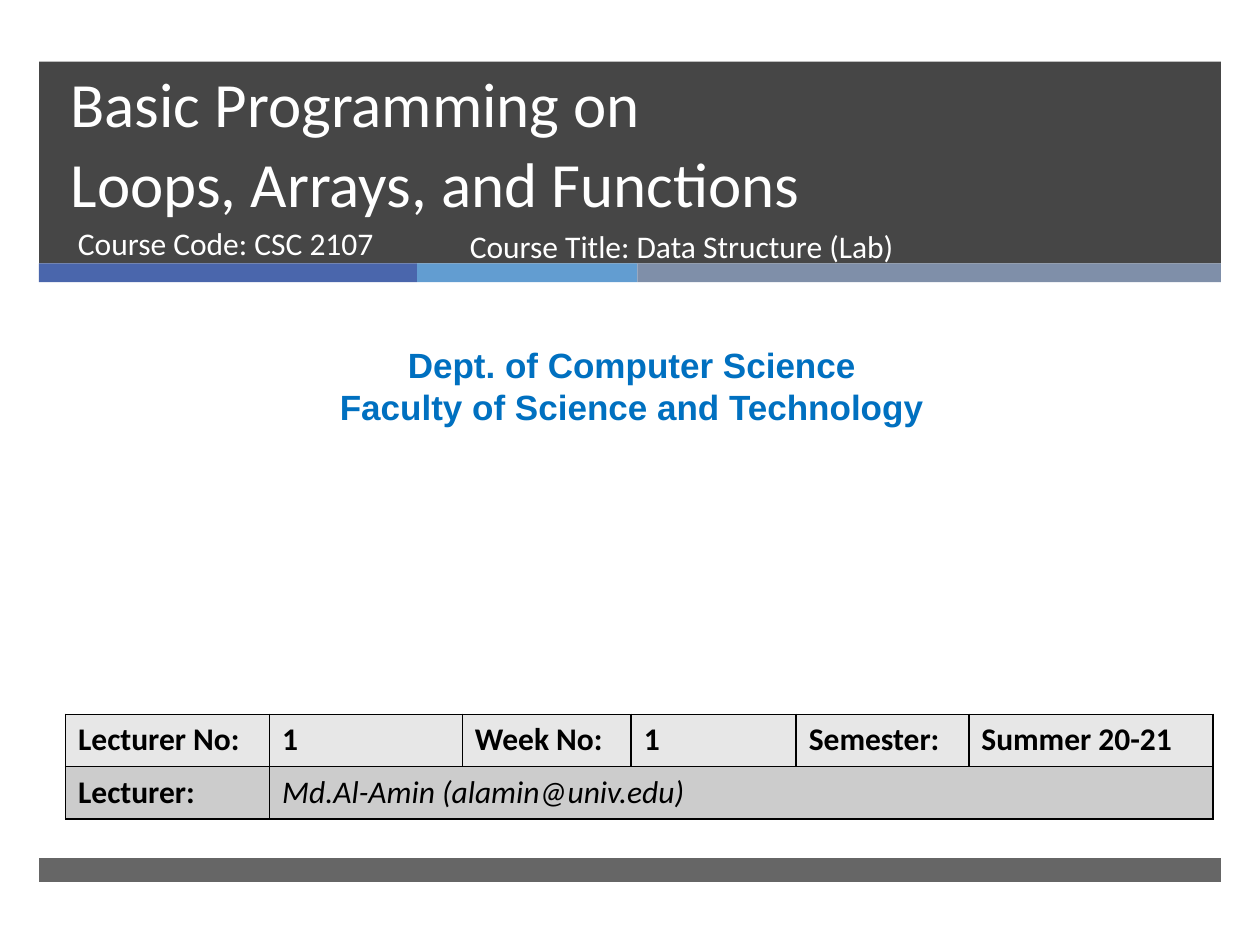
from dataclasses import dataclass

from lxml.etree import SubElement
from pptx import Presentation
from pptx.dml.color import RGBColor
from pptx.enum.shapes import MSO_SHAPE as Shape
from pptx.enum.text import MSO_ANCHOR as Anchor, PP_ALIGN as Align
from pptx.oxml import parse_xml
from pptx.oxml.ns import nsdecls, qn
from pptx.util import Inches, Pt


@dataclass(frozen=True)
class Theme:
    """Colours, fonts and type sizes of the slide."""
    dark: str = "262626"
    white: str = "FFFFFF"
    black: str = "000000"
    heading: str = "0070C0"
    row_fills: tuple = ("E7E7E7", "CCCCCC")
    body_font: str = "Calibri"
    heading_font: str = "Arial"
    title_size: int = 36
    heading_size: int = 20
    body_size: int = 18


@dataclass(frozen=True)
class Band:
    """A filled bar; lengths in inches, opacity in percent."""
    left: float
    top: float
    width: float
    height: float
    colour: str
    opacity: int = 100


@dataclass(frozen=True)
class Label:
    """A text box with one paragraph per line."""
    left: float
    top: float
    width: float
    height: float
    lines: tuple
    font: str
    size: int
    colour: str
    bold: bool = False
    align: Align = Align.LEFT


THEME = Theme()
EDGE, FULL = 0.31, 9.38
STRIPE_TOP, STRIPE_HEIGHT = 2.09, 0.15
STRIPES = ((3, "4A66AC"), (1.75, "629DD1"), (4.63, "7F8FA9"))
COURSE_STYLE = (THEME.body_font, THEME.body_size, THEME.white)
LABELS = (
    Label(0.52, 1.73, 3.05, 0.53, ("Course Code: CSC 2107",), *COURSE_STYLE),
    Label(0.08, 2.68, 9.87, 0.77,
          ("Dept. of Computer Science", "Faculty of Science and Technology"),
          THEME.heading_font, THEME.heading_size, THEME.heading, True, Align.CENTER),
    Label(3.63, 1.75, 4.55, 0.53, ("Course Title: Data Structure (Lab)",), *COURSE_STYLE),
)
COLUMNS = (1.62, 1.53, 1.34, 1.31, 1.37, 1.94)
ROW_HEIGHT = 0.415
ROWS = (
    ("Lecturer No:", "1", "Week No:", "1", "Semester:", "Summer 20-21"),
    ("Lecturer:", "Md.Al-Amin (alamin@univ.edu)", "", "", "", ""),
)


def style_font(font, name: str, size: int, colour: str, bold: bool = False) -> None:
    """Set the face, size, colour and weight of a font."""
    font.name, font.size, font.bold = name, Pt(size), bold
    font.color.rgb = RGBColor.from_string(colour)


def place(shape, left: float, top: float, width: float, height: float) -> None:
    """Move and size a shape, in inches."""
    shape.left, shape.top = Inches(left), Inches(top)
    shape.width, shape.height = Inches(width), Inches(height)


def add_band(page, band: Band) -> None:
    """Draw a bar without outline."""
    bar = page.shapes.add_shape(Shape.RECTANGLE, Inches(band.left), Inches(band.top),
                                Inches(band.width), Inches(band.height))
    bar.shadow.inherit = False
    bar.line.fill.background()
    bar.fill.solid()
    bar.fill.fore_color.rgb = RGBColor.from_string(band.colour)
    if band.opacity < 100:
        colour = bar._element.spPr.find(qn("a:solidFill"))[0]
        SubElement(colour, qn("a:alpha")).set("val", str(band.opacity * 1000))


def add_bands(page) -> None:
    """Draw the title panel, the coloured stripes and the footer bar."""
    add_band(page, Band(EDGE, 0.49, FULL, 1.6, THEME.dark, 85))
    left = EDGE
    for width, colour in STRIPES:
        add_band(page, Band(left, STRIPE_TOP, width, STRIPE_HEIGHT, colour))
        left += width
    add_band(page, Band(EDGE, 6.81, FULL, 0.19, THEME.dark, 70))


def format_title(page) -> None:
    """Fill the title placeholder and bring it in front of the panel."""
    title = page.shapes.title
    place(title, 0.46, 0.61, 8.54, 1.19)
    frame = title.text_frame
    frame.text = "Basic Programming on\vLoops, Arrays, and Functions"
    frame.vertical_anchor = Anchor.BOTTOM
    para = frame.paragraphs[0]
    para.alignment, para.line_spacing = Align.LEFT, Pt(46)
    style_font(para.font, THEME.body_font, THEME.title_size, THEME.white)
    page.shapes._spTree.append(title._element)


def add_label(page, label: Label) -> None:
    """Add a wrapped text box."""
    box = page.shapes.add_textbox(Inches(label.left), Inches(label.top),
                                  Inches(label.width), Inches(label.height))
    frame = box.text_frame
    frame.word_wrap = True
    frame.text = "\n".join(label.lines)
    for para in frame.paragraphs:
        para.alignment = label.align
        style_font(para.font, label.font, label.size, label.colour, label.bold)


def add_borders(cell) -> None:
    """Give a cell a one-point line on every side."""
    properties = cell._tc.get_or_add_tcPr()
    for index, side in enumerate("LRTB"):
        properties.insert(index, parse_xml(
            f'<a:ln{side} {nsdecls("a")} w="{Pt(1)}"><a:solidFill>'
            f'<a:srgbClr val="{THEME.black}"/></a:solidFill></a:ln{side}>'))


def add_lecture_table(page) -> None:
    """Add the table of lecture details."""
    table = page.shapes.add_table(len(ROWS), len(COLUMNS), Inches(0.52), Inches(5.67),
                                  Inches(sum(COLUMNS)), Inches(ROW_HEIGHT * len(ROWS))).table
    for column, width in zip(table.columns, COLUMNS):
        column.width = Inches(width)
    for row, texts in enumerate(ROWS):
        table.rows[row].height = Inches(ROW_HEIGHT)
        for column, text in enumerate(texts):
            cell = table.cell(row, column)
            cell.text = text
            cell.fill.solid()
            cell.fill.fore_color.rgb = RGBColor.from_string(THEME.row_fills[row])
            add_borders(cell)
            is_name = row == 1 and column == 1
            font = cell.text_frame.paragraphs[0].font
            style_font(font, THEME.body_font, THEME.body_size, THEME.black, not is_name)
            font.italic = is_name
    table.cell(1, 1).merge(table.cell(1, len(COLUMNS) - 1))


def main() -> None:
    """Build and save the slide."""
    deck = Presentation()
    deck.slide_width, deck.slide_height = Inches(10), Inches(7.5)
    page = deck.slides.add_slide(deck.slide_layouts[5])
    add_bands(page)
    format_title(page)
    for label in LABELS:
        add_label(page, label)
    add_lecture_table(page)
    deck.save("out.pptx")


main()
